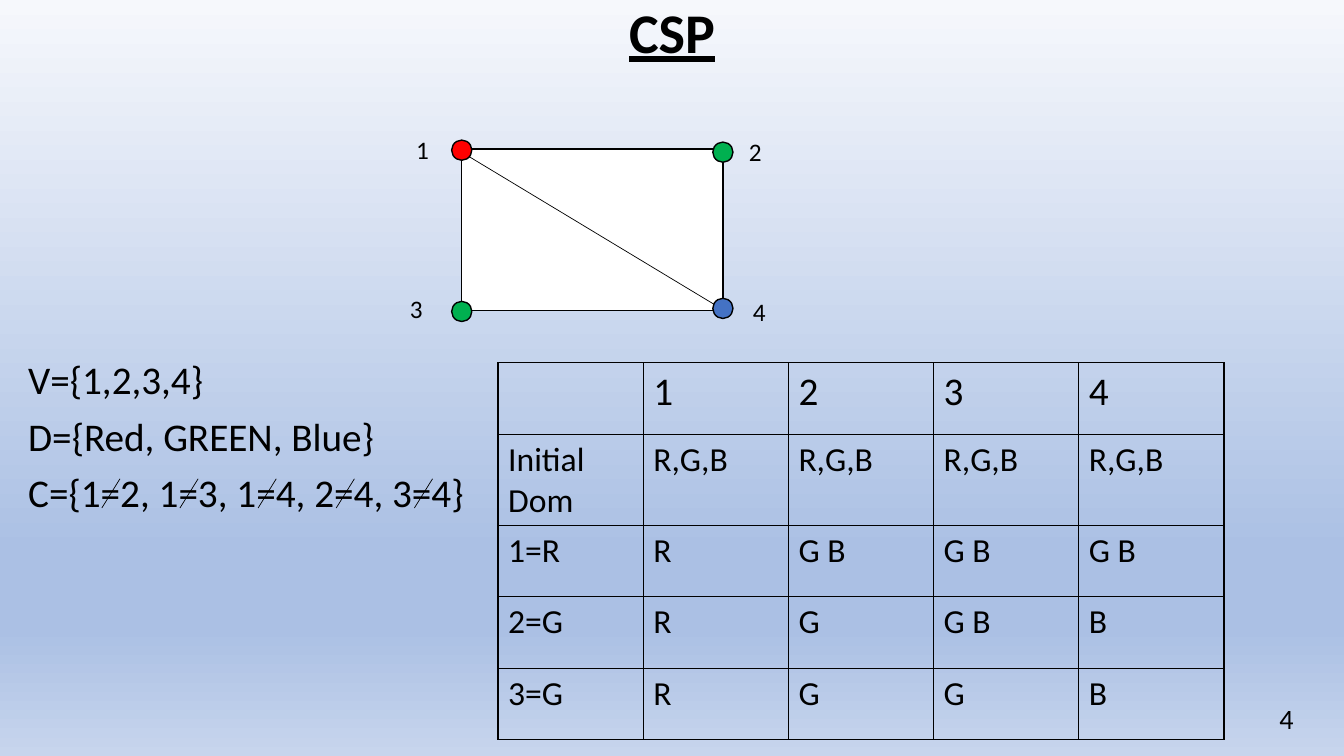
import pptx
import pptx.util
import pptx.dml.color
import pptx.enum.shapes
import pptx.enum.text
import pptx.oxml.ns
import lxml.etree

Inches, Pt = pptx.util.Inches, pptx.util.Pt
ALIGN = pptx.enum.text.PP_ALIGN
MID = pptx.enum.text.MSO_ANCHOR.MIDDLE
TOP = pptx.enum.text.MSO_ANCHOR.TOP
SHAPE = pptx.enum.shapes.MSO_SHAPE
qn = pptx.oxml.ns.qn


class Theme:
    font = "Calibri"
    ink, white = "000000", "FFFFFF"
    red, green, blue = "FF0000", "00B050", "4472C4"
    sky = [(0, "F6F8FC"), (73, "ABC0E4"), (83, "ABC0E4"), (100, "C7D5ED")]
    title, body, cell, page, label = 40, 28, 24, 20, 18
    thin, line = 0.5, 1


def rgb(code):
    return pptx.dml.color.RGBColor.from_string(code)


def add(node, tag, **attrs):
    return lxml.etree.SubElement(node, qn(tag), **attrs)


def write(frame, text, size=Theme.body, bold=False, under=False,
          align=ALIGN.LEFT, space=None, gap=0):
    """Fill a text frame, one paragraph for each line of text."""
    for i, words in enumerate(text.split("\n")):
        para = frame.add_paragraph() if i else frame.paragraphs[0]
        para.alignment = align
        para.line_spacing = space
        para.space_before = Pt(gap if i else 0)
        run = para.add_run()
        run.text = words
        font = run.font
        font.name, font.size = Theme.font, Pt(size)
        font.bold, font.underline = bold, under
        font.color.rgb = rgb(Theme.ink)


def label(slide, box, text, anchor=TOP, **style):
    frame = slide.shapes.add_textbox(*map(Inches, box)).text_frame
    frame.word_wrap = True
    frame.margin_left = frame.margin_right = 0
    frame.margin_top = frame.margin_bottom = 0
    frame.vertical_anchor = anchor
    write(frame, text, **style)


def shape(slide, kind, box, fill):
    item = slide.shapes.add_shape(kind, *map(Inches, box))
    item.shadow.inherit = False
    item.fill.solid()
    item.fill.fore_color.rgb = rgb(fill)
    item.line.color.rgb = rgb(Theme.ink)
    item.line.width = Pt(Theme.line)


def stroke(slide, *ends):
    line = slide.shapes.add_connector(
        pptx.enum.shapes.MSO_CONNECTOR.STRAIGHT, *map(Inches, ends))
    line.line.color.rgb = rgb(Theme.ink)
    line.line.width = Pt(Theme.thin)
    add(line._element.spPr, "a:effectLst")


def sky(slide):
    fill = slide.background.fill
    fill.gradient()
    fill.gradient_angle = 270
    stops = slide._element.find(".//" + qn("a:gsLst"))
    for stop in list(stops):
        stops.remove(stop)
    for pos, code in Theme.sky:
        stop = add(stops, "a:gs", pos=str(pos * 1000))
        add(stop, "a:srgbClr", val=code)


def graph(slide, left, top, width, height):
    # Outline and diagonal
    shape(slide, SHAPE.RECTANGLE, (left, top, width, height), Theme.white)
    stroke(slide, left, top + 0.03, left + width - 0.02, top + height - 0.02)
    # Nodes: name, colour, centre, distance to the label, label drop
    right, base, dot, tag = left + width, top + height, 0.2, 0.4
    nodes = [("1", Theme.red, left, top + 0.01, -0.39, -0.01),
             ("2", Theme.green, right, top + 0.03, 0.32, -0.01),
             ("3", Theme.green, left, base + 0.01, -0.45, -0.03),
             ("4", Theme.blue, right, base - 0.02, 0.36, 0.03)]
    for name, fill, x, y, off, drop in nodes:
        shape(slide, SHAPE.OVAL, (x - dot / 2, y - dot / 2, dot, dot), fill)
        label(slide, (x + off - tag / 2, y + drop - tag / 2, tag, tag), name,
              MID, size=Theme.label, align=ALIGN.CENTER)


def rules(slide, left, top, width, height):
    label(slide, (left, top, width, height),
          "V={1,2,3,4}\nD={Red, GREEN, Blue}\nC={1=2, 1=3, 1=4, 2=4, 3=4}",
          space=0.9, gap=10)
    # Slashes that turn each equals sign into "not equal"
    for i in range(5):
        x = left + 0.82 + 0.775 * i
        stroke(slide, x + 0.09, top + 1.17, x - 0.09, top + 1.46)


def edge(cell):
    props = cell._tc.get_or_add_tcPr()
    for i, side in enumerate("LRTB"):
        line = add(props, "a:ln" + side, w=str(Pt(Theme.line)))
        add(add(line, "a:solidFill"), "a:srgbClr", val=Theme.ink)
        props.insert(i, line)


def grid(slide, left, top, width, height):
    rows = [["", "1", "2", "3", "4"],
            ["Initial \nDom"] + ["R,G,B"] * 4,
            ["1=R", "R", "G B", "G B", "G B"],
            ["2=G", "R", "G", "G B", "B"],
            ["3=G", "R", "G", "G", "B"]]
    table = slide.shapes.add_table(
        len(rows), len(rows[0]), *map(Inches, (left, top, width, height))).table
    table.first_row = table.horz_banding = False
    for r, row in enumerate(rows):
        for c, text in enumerate(row):
            cell = table.cell(r, c)
            cell.fill.background()
            edge(cell)
            write(cell.text_frame, text, size=Theme.cell if r else Theme.body)


def build():
    deck = pptx.Presentation()
    deck.slide_width, deck.slide_height = Inches(13.33), Inches(7.5)
    slide = deck.slides.add_slide(deck.slide_layouts[6])
    sky(slide)
    # Title
    label(slide, (0, 0.05, 13.33, 0.7), "CSP", size=Theme.title, bold=True,
          under=True, align=ALIGN.CENTER, space=0.9)
    # Coloured graph, its constraints and the domain table
    graph(slide, 4.58, 1.48, 2.59, 1.6)
    rules(slide, 0.28, 3.58, 4.6, 1.7)
    grid(slide, 4.94, 3.6, 7.2, 3.55)
    # Page number
    label(slide, (9.93, 6.93, 2.9, 0.4), "4", MID, size=Theme.page,
          align=ALIGN.RIGHT)
    deck.save("out.pptx")


build()
